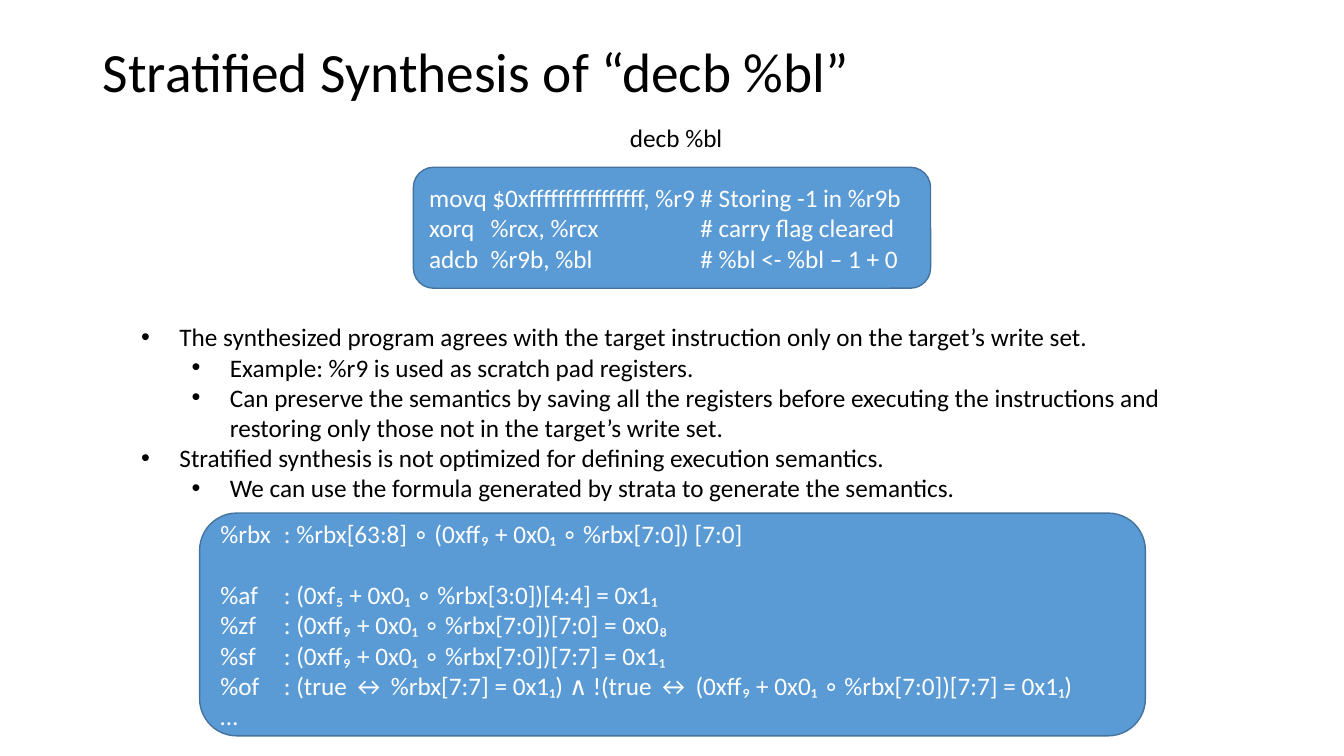
import pptx
import pptx.util
import pptx.dml.color
import pptx.enum.shapes
import pptx.enum.text
import pptx.oxml
import pptx.oxml.ns

Inches = pptx.util.Inches
Pt = pptx.util.Pt
ANCHOR = pptx.enum.text.MSO_ANCHOR
LEFT = pptx.enum.text.PP_ALIGN.LEFT

COLORS = {"text": "000000", "light": "FFFFFF", "fill": "5B9BD5", "edge": "43739E"}
FONT = "Calibri"
SIZE = 18

CODE = [
    "movq $0xffffffffffffffff, %r9 # Storing -1 in %r9b",
    "xorq\t%rcx, %rcx\t# carry flag cleared",
    "adcb\t%r9b, %bl\t# %bl <- %bl – 1 + 0",
]
POINTS = [
    (0, "The synthesized program agrees with the target instruction only on the target’s write set."),
    (1, "Example: %r9 is used as scratch pad registers."),
    (1, "Can preserve the semantics by saving all the registers before executing the "
        "instructions and restoring only those not in the target’s write set."),
    (0, "Stratified synthesis is not optimized for defining execution semantics."),
    (1, "We can use the formula generated by strata to generate the semantics."),
]
RESULT = ["%rbx\t: %rbx[63:8] ∘ (0xff₉ + 0x0₁ ∘ %rbx[7:0]) [7:0]"]
FLAGS = [
    "%af\t: (0xf₅ + 0x0₁ ∘ %rbx[3:0])[4:4] = 0x1₁",
    "%zf\t: (0xff₉ + 0x0₁ ∘ %rbx[7:0])[7:0] = 0x0₈",
    "%sf\t: (0xff₉ + 0x0₁ ∘ %rbx[7:0])[7:7] = 0x1₁",
    "%of\t: (true ↔ %rbx[7:7] = 0x1₁) ∧ !(true ↔ (0xff₉ + 0x0₁ ∘ %rbx[7:0])[7:7] = 0x1₁)",
    "…",
]


def color(name):
    return pptx.dml.color.RGBColor.from_string(COLORS[name])


def place(shape, box):
    shape.left, shape.top, shape.width, shape.height = map(Inches, box)


def add_run(para, text, tint="text", size=SIZE):
    run = para.add_run()
    run.text = text
    run.font.name = FONT
    run.font.size = Pt(size)
    run.font.color.rgb = color(tint)


def add_node(parent, tag, **attrs):
    node = pptx.oxml.parse_xml(f"<a:{tag} {pptx.oxml.ns.nsdecls('a')}/>")
    for key, value in attrs.items():
        node.set(key, str(value))
    parent.append(node)
    return node


def next_para(frame):
    """Return the empty first paragraph, or a new one."""
    first = frame.paragraphs[0]
    return frame.add_paragraph() if first.runs else first


def add_title(slide, box, text):
    title = slide.shapes.title
    place(title, box)
    frame = title.text_frame
    frame.auto_size = pptx.enum.text.MSO_AUTO_SIZE.NONE
    frame.vertical_anchor = ANCHOR.MIDDLE
    para = frame.paragraphs[0]
    para.alignment = LEFT
    para.line_spacing = 0.9
    add_run(para, text, size=39.6)


def add_label(slide, box, text):
    frame = slide.shapes.add_textbox(*map(Inches, box)).text_frame
    frame.word_wrap = True
    add_run(frame.paragraphs[0], text)


def add_points(slide, box, points):
    body = slide.placeholders[1]
    place(body, box)
    frame = body.text_frame
    frame.auto_size = pptx.enum.text.MSO_AUTO_SIZE.NONE
    frame.vertical_anchor = ANCHOR.TOP
    for level, text in points:
        para = next_para(frame)
        para.level = level
        para.space_before = Pt(0)
        props = para._p.get_or_add_pPr()
        props.set("marL", str(Inches(0.38 + 0.5 * level)))
        props.set("indent", str(Inches(-0.38)))
        add_node(props, "buFont", typeface="Arial")
        add_node(props, "buChar", char="•")
        add_run(para, text)


def add_panel(slide, box, groups, tabs):
    """Draw a rounded panel of tabbed lines, with a one-line gap between groups."""
    panel = slide.shapes.add_shape(
        pptx.enum.shapes.MSO_SHAPE.ROUNDED_RECTANGLE, *map(Inches, box))
    panel.shadow.inherit = False
    panel.fill.solid()
    panel.fill.fore_color.rgb = color("fill")
    panel.line.color.rgb = color("edge")
    panel.line.width = Pt(1)
    frame = panel.text_frame
    frame.word_wrap = True
    frame.vertical_anchor = ANCHOR.MIDDLE
    frame.margin_top = frame.margin_bottom = 0
    for group, lines in enumerate(groups):
        for row, text in enumerate(lines):
            para = next_para(frame)
            para.alignment = LEFT
            if group and row == 0:
                para.space_before = Pt(22)
            stops = add_node(para._p.get_or_add_pPr(), "tabLst")
            for tab in tabs:
                add_node(stops, "tab", pos=Inches(tab), algn="l")
            add_run(para, text, "light")


def main():
    deck = pptx.Presentation()
    deck.slide_width, deck.slide_height = Inches(13.33), Inches(7.5)
    slide = deck.slides.add_slide(deck.slide_layouts[1])
    add_title(slide, (0.92, 0.4, 11.5, 0.67), "Stratified Synthesis of “decb %bl”")
    add_label(slide, (6.15, 1.16, 1.2, 0.4), "decb %bl")
    add_panel(slide, (4.1, 1.66, 5.13, 1.2), [CODE], [0.61, 2.69])
    add_points(slide, (1.3, 3.14, 10.74, 2.22), POINTS)
    add_panel(slide, (1.98, 5.09, 9.38, 2.21), [RESULT, FLAGS], [0.63])
    deck.save("out.pptx")


if __name__ == "__main__":
    main()
